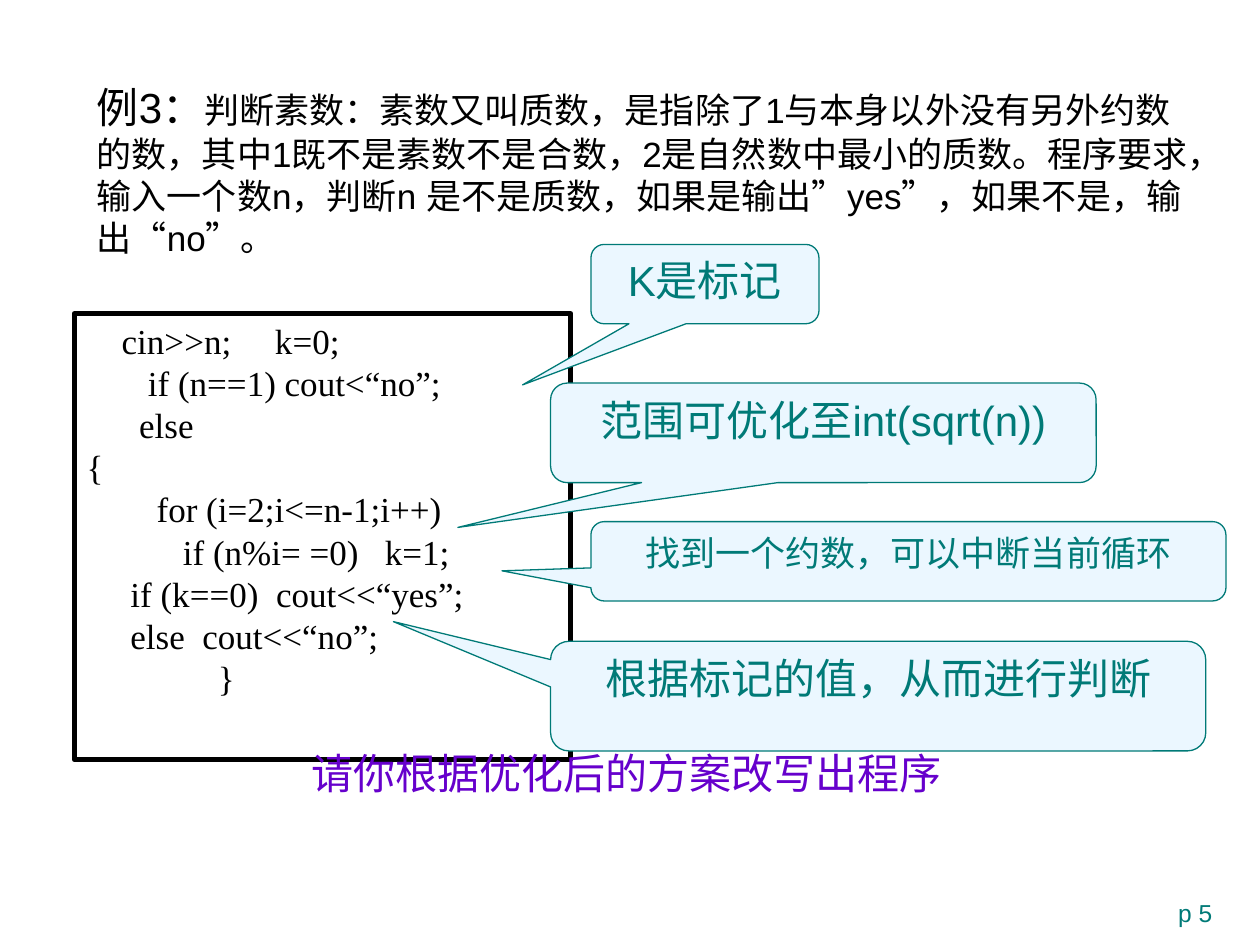
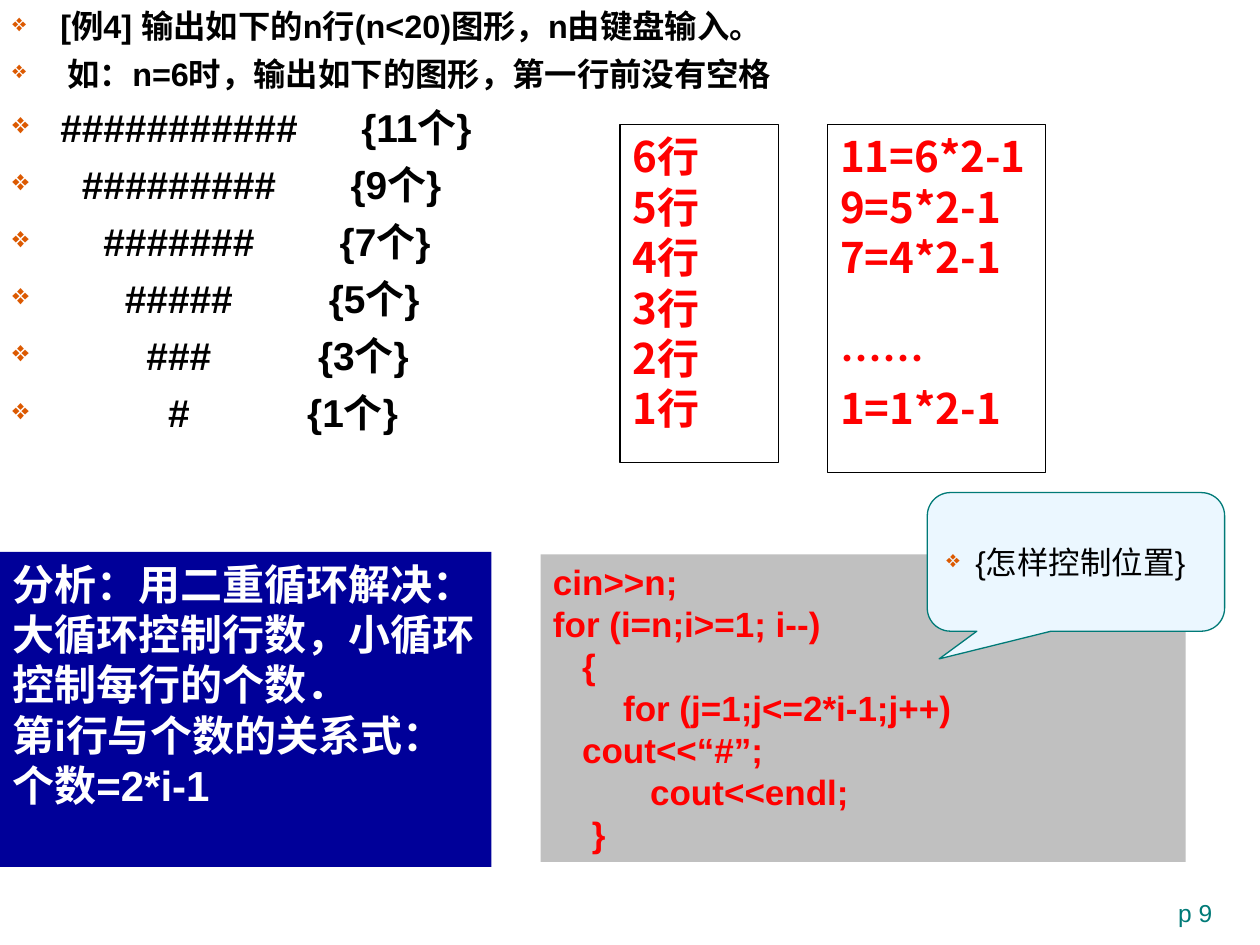
from lxml.etree import SubElement
from pptx import Presentation
from pptx.dml.color import RGBColor as Color
from pptx.enum.shapes import MSO_SHAPE as Shape
from pptx.enum.text import MSO_ANCHOR as Anchor, PP_ALIGN as Align
from pptx.oxml.ns import qn
from pptx.util import Inches, Pt

COLORS = {
    "black": "000000", "white": "FFFFFF", "teal": "007A77", "pale": "EBF7FF",
    "purple": "6600CC", "orange": "DC5900", "navy": "000099", "red": "FF0000",
    "grey": "C0C0C0",
}
CJK = "Noto Sans CJK SC"


def write(frame, text, size=20, font="Arial", color="black", bold=False,
          align=Align.LEFT, before=0, indent=0, bullet=False, join=False):
    para = frame.paragraphs[-1]
    if para.runs and not join:
        para = frame.add_paragraph()
    if not join:
        para.alignment = align
        para.space_before = Pt(before)
        props = para._p.get_or_add_pPr()
        props.set("marL", str(Inches(indent)))
        props.set("indent", str(-Inches(indent) if bullet else 0))
        if bullet:
            tint = SubElement(props, qn("a:buClr"))
            SubElement(tint, qn("a:srgbClr"), val=COLORS["orange"])
            SubElement(props, qn("a:buSzPct"), val="75000")
            SubElement(props, qn("a:buChar"), char="❖")
    span = para.add_run()
    span.text = text
    span.font.size = Pt(size)
    span.font.name = font
    span.font.bold = bold
    span.font.color.rgb = Color.from_string(COLORS[color])


def add_box(page, place, fill=None, line=None, width=0.75, tail=None, anchor=Anchor.TOP):
    kind = Shape.ROUNDED_RECTANGULAR_CALLOUT if tail else Shape.RECTANGLE
    place = [Inches(value) for value in place]
    if fill:
        box = page.shapes.add_shape(kind, *place)
        box.shadow.inherit = False
        box.fill.solid()
        box.fill.fore_color.rgb = Color.from_string(COLORS[fill])
        if line:
            box.line.color.rgb = Color.from_string(COLORS[line])
            box.line.width = Pt(width)
        else:
            box.line.fill.background()
    else:
        box = page.shapes.add_textbox(*place)
    if tail:
        box.adjustments[0], box.adjustments[1] = tail
        box.adjustments[2] = 0.167
    box.text_frame.word_wrap = True
    box.text_frame.vertical_anchor = anchor
    return box.text_frame


deck = Presentation()
deck.slide_width, deck.slide_height = Inches(10), Inches(7.5)
pages = []
for number in (5, 9):
    page = deck.slides.add_slide(deck.slide_layouts[6])
    footer = add_box(page, (7.22, 7.08, 2.5, 0.42))
    write(footer, f"p {number}", size=14, color="teal", align=Align.RIGHT)
    pages.append(page)
prime_page, pattern_page = pages

task = add_box(prime_page, (0.67, 0.6, 8.98, 1.5))
write(task, "例3：", size=24)
write(task, "判断素数：素数又叫质数，是指除了1与本身以外没有另外约数的数，其中1既不是素数不是合数，"
      "2是自然数中最小的质数。程序要求，输入一个数n，判断n 是不是质数，"
      "如果是输出”yes”，如果不是，输出“no”。", join=True)

prime_code = add_box(prime_page, (0.59, 2.49, 3.94, 3.54), "white", "black", 3)
for code in (
    "    cin>>n;     k=0;",
    "       if (n==1) cout<“no”;",
    "      else",
    "{",
    "        for (i=2;i<=n-1;i++)",
    "           if (n%i= =0)   k=1;",
    "     if (k==0)  cout<<“yes”;",
    "     else  cout<<“no”;",
    "               }",
):
    write(prime_code, code, font="Times New Roman")

for place, tail, size, hint in (
    ((4.69, 1.94, 1.81, 0.63), (-0.8, 1.27), 24, "K是标记"),
    ((4.37, 3.04, 4.33, 0.79), (-0.67, 0.95), 24, "范围可优化至int(sqrt(n))"),
    ((4.69, 4.14, 5.04, 0.63), (-0.64, 0.12), 20, "找到一个约数，可以中断当前循环"),
    ((4.37, 5.09, 5.2, 0.87), (-0.74, -0.68), 24, "根据标记的值，从而进行判断"),
):
    callout = add_box(prime_page, place, "pale", "teal", tail=tail)
    write(callout, hint, size=size, color="teal", align=Align.CENTER)

exercise = add_box(prime_page, (1.22, 5.88, 7.5, 1.12))
write(exercise, "请你根据优化后的方案改写出程序", size=24, font=CJK, color="purple", align=Align.CENTER)

pattern = add_box(pattern_page, (0, 0, 6.81, 4.06), "white")
write(pattern, "[例4] 输出如下的n行(n<20)图形，n由键盘输入。",
      size=18.5, bold=True, indent=0.38, bullet=True)
write(pattern, " 如：n=6时，输出如下的图形，第一行前没有空格",
      size=18.5, bold=True, before=5, indent=0.38, bullet=True)
counts = add_box(pattern_page, (0, 0.77, 4.8, 2.9))
for row in range(6):
    count = 11 - 2 * row
    write(pattern, "#" * count, size=22.2, bold=True, before=6,
          indent=0.38 + 0.171 * row, bullet=True)
    write(counts, f"{{{count}个}}", size=22.2, bold=True, before=6 if row else 0,
          indent=2.77 - 0.086 * row)

analysis = add_box(pattern_page, (0, 4.38, 3.9, 2.5), "navy")
for text in (
    "分析：用二重循环解决：大循环控制行数，小循环控制每行的个数．",
    "第i行与个数的关系式：",
    "个数=2*i-1",
):
    write(analysis, text, size=24, color="white", bold=True)

row_names = add_box(pattern_page, (4.92, 0.99, 1.26, 2.68), "white", "black")
for row in range(6, 0, -1):
    write(row_names, f"{row}行", size=24, font=CJK, color="red", bold=True)

formulas = add_box(pattern_page, (6.57, 0.99, 1.73, 2.76), "white", "black")
for text in ("11=6*2-1", "9=5*2-1", "7=4*2-1", "……", "1=1*2-1"):
    write(formulas, text, size=24, font=CJK, color="red", bold=True,
          before=28.8 if text == "……" else 0)

pattern_code = add_box(pattern_page, (4.29, 4.4, 5.12, 2.44), "grey")
for code in (
    "cin>>n;",
    "for (i=n;i>=1; i--)",
    "   {",
    "　　for (j=1;j<=2*i-1;j++)",
    "   cout<<“#”;",
    "          cout<<endl;",
    "    }",
):
    write(pattern_code, code, color="red", bold=True)

question = add_box(pattern_page, (7.36, 3.91, 2.36, 1.1), "pale", "teal",
                   tail=(-0.46, 0.7), anchor=Anchor.MIDDLE)
write(question, "{怎样控制位置}", size=18, indent=0.23, bullet=True)

deck.save("out.pptx")
